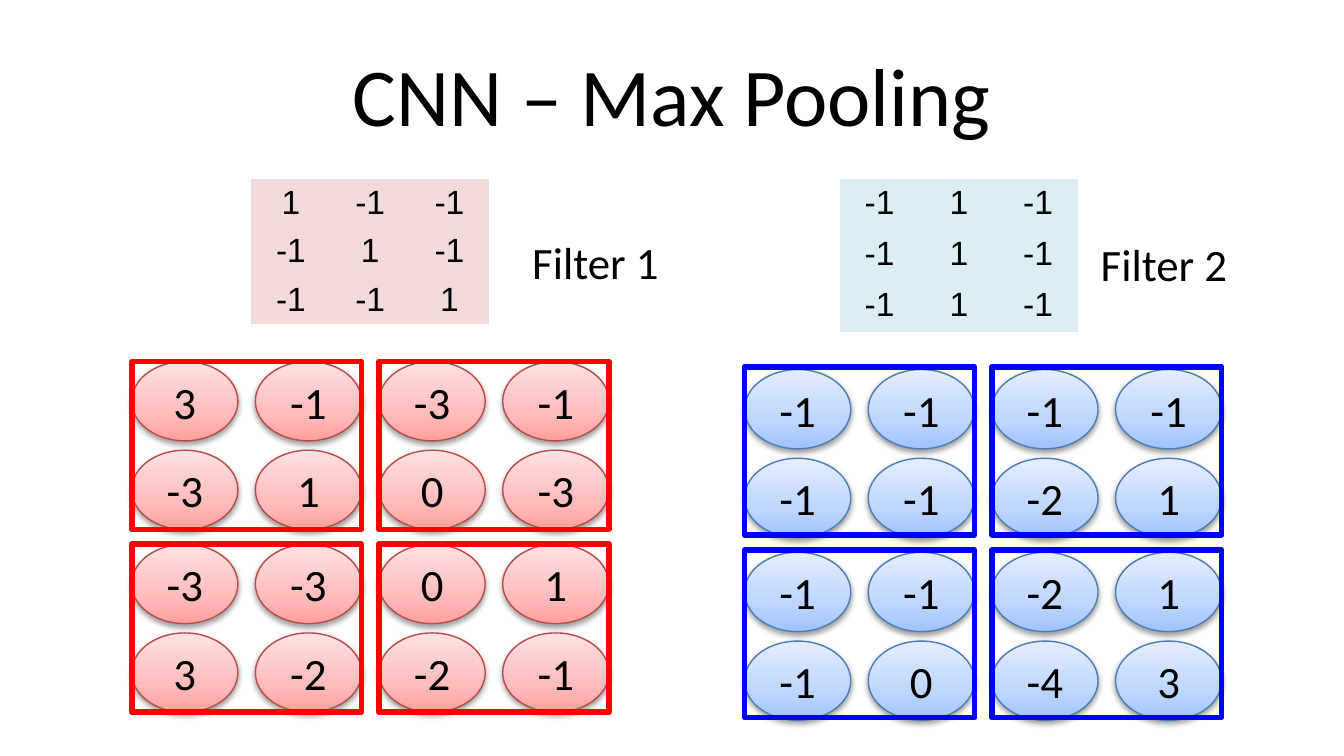
from lxml import etree
from pptx import Presentation
from pptx import util as u
from pptx.dml.color import RGBColor
from pptx.enum import shapes, text
from pptx.oxml.ns import qn

TITLE = "CNN – Max Pooling"
FILTERS = [
    {
        "name": "Filter 1",
        "kernel": [[1, -1, -1], [-1, 1, -1], [-1, -1, 1]],
        "kernel_left": 1.87, "kernel_fill": "F2DADA", "label_at": (3.64, 1.70),
        "features": [[3, -1, -3, -1], [-3, 1, 0, -3], [-3, -3, 0, 1], [3, -2, -2, -1]],
        "left": 0.98, "top": 2.69, "frame_top": 2.69,
        "gradient": [(0, "FFA09D"), (35, "FFBCBC"), (100, "FFE2E2")],
        "outline": "BD4B48", "frame": "FF0000",
    },
    {
        "name": "Filter 2",
        "kernel": [[-1, 1, -1], [-1, 1, -1], [-1, 1, -1]],
        "kernel_left": 6.25, "kernel_fill": "DAEEF3", "label_at": (7.87, 1.71),
        "features": [[-1, -1, -1, -1], [-1, -1, -2, 1], [-1, -1, -2, 1], [-1, 0, -4, 3]],
        "left": 5.54, "top": 2.75, "frame_top": 2.73,
        "gradient": [(0, "9FC3FF"), (35, "BDD5FF"), (100, "E4EEFF")],
        "outline": "4A7DBA", "frame": "0000FF",
    },
]
SLIDE_WIDTH = 10
SLIDE_HEIGHT = SLIDE_WIDTH * 9 / 16
KERNEL_HEIGHT = 1.13
PLAIN_TABLE = "{2D5ABB26-0587-4C30-8999-92F81FD0307C}"
POOL = 2
CELL_X, CELL_Y = 0.92, 0.66
POOL_X, POOL_Y = 1.84, 1.36


def color(value):
    return RGBColor.from_string(value)


def inches(*values):
    return [u.Inches(value) for value in values]


def write(frame, content, size, font="Calibri"):
    frame.text = str(content)
    para = frame.paragraphs[0]
    para.alignment = text.PP_ALIGN.CENTER
    span = para.runs[0]
    span.font.size = u.Pt(size)
    span.font.name = font
    span.font.color.rgb = color("000000")


def add_child(parent, tag, **attributes):
    return etree.SubElement(parent, qn(tag), attributes)


def fill_gradient(shape, stops):
    shape.fill.gradient()
    shape.fill.gradient_angle = 90
    stop_list = next(shape._element.spPr.iter(qn("a:gsLst")))
    for old in list(stop_list):
        stop_list.remove(old)
    for position, value in stops:
        stop = add_child(stop_list, "a:gs", pos=str(position * 1000))
        add_child(stop, "a:srgbClr", val=value)


def add_shadow(shape):
    shape.shadow.inherit = False
    effects = shape._element.spPr.find(qn("a:effectLst"))
    shadow = add_child(effects, "a:outerShdw", blurRad="40000", dist="20000",
                       dir="5400000", rotWithShape="0")
    shade = add_child(shadow, "a:srgbClr", val="000000")
    add_child(shade, "a:alpha", val="38000")


def add_kernel(slide, item):
    rows = item["kernel"]
    holder = slide.shapes.add_table(
        len(rows), len(rows[0]), *inches(item["kernel_left"], 1.33, 1.77, KERNEL_HEIGHT))
    table = holder.table
    table.first_row = table.horz_banding = False
    next(table._tbl.iter(qn("a:tableStyleId"))).text = PLAIN_TABLE
    for column in table.columns:
        column.width = u.Inches(0.59)
    for row, values in zip(table.rows, rows):
        row.height = u.Inches(0.3)
        for cell, value in zip(row.cells, values):
            cell.fill.solid()
            cell.fill.fore_color.rgb = color(item["kernel_fill"])
            cell.margin_top = cell.margin_bottom = u.Inches(0.04)
            write(cell.text_frame, value, 18, "Arial")
    holder.height = u.Inches(KERNEL_HEIGHT)


def add_label(slide, item):
    box = slide.shapes.add_textbox(*inches(*item["label_at"], 1.58, 0.38))
    box.text_frame.word_wrap = True
    write(box.text_frame, item["name"], 24)


def add_features(slide, item):
    for r, values in enumerate(item["features"]):
        top = item["top"] + r // POOL * POOL_Y + r % POOL * CELL_Y
        for c, value in enumerate(values):
            left = item["left"] + c * CELL_X
            oval = slide.shapes.add_shape(
                shapes.MSO_SHAPE.OVAL, *inches(left, top, 0.79, 0.59))
            fill_gradient(oval, item["gradient"])
            oval.line.color.rgb = color(item["outline"])
            oval.line.width = u.Pt(0.75)
            add_shadow(oval)
            write(oval.text_frame, value, 24)


def add_pool_frames(slide, item):
    for r in range(POOL):
        for c in range(POOL):
            left = item["left"] + c * POOL_X
            top = item["frame_top"] + r * POOL_Y
            frame = slide.shapes.add_shape(
                shapes.MSO_SHAPE.RECTANGLE, *inches(left, top, 1.71, 1.25))
            frame.fill.background()
            frame.line.color.rgb = color(item["frame"])
            frame.line.width = u.Pt(3)
            frame.shadow.inherit = False


def main():
    deck = Presentation()
    deck.slide_width, deck.slide_height = inches(SLIDE_WIDTH, SLIDE_HEIGHT)
    slide = deck.slides.add_slide(deck.slide_layouts[5])
    title = slide.shapes.title
    title.left, title.top, title.width, title.height = inches(0.5, 0.23, 9, 0.94)
    title.text_frame.vertical_anchor = text.MSO_ANCHOR.MIDDLE
    write(title.text_frame, TITLE, 44)
    for item in FILTERS:
        add_kernel(slide, item)
        add_label(slide, item)
        add_features(slide, item)
        add_pool_frames(slide, item)
    deck.save("out.pptx")


if __name__ == "__main__":
    main()
